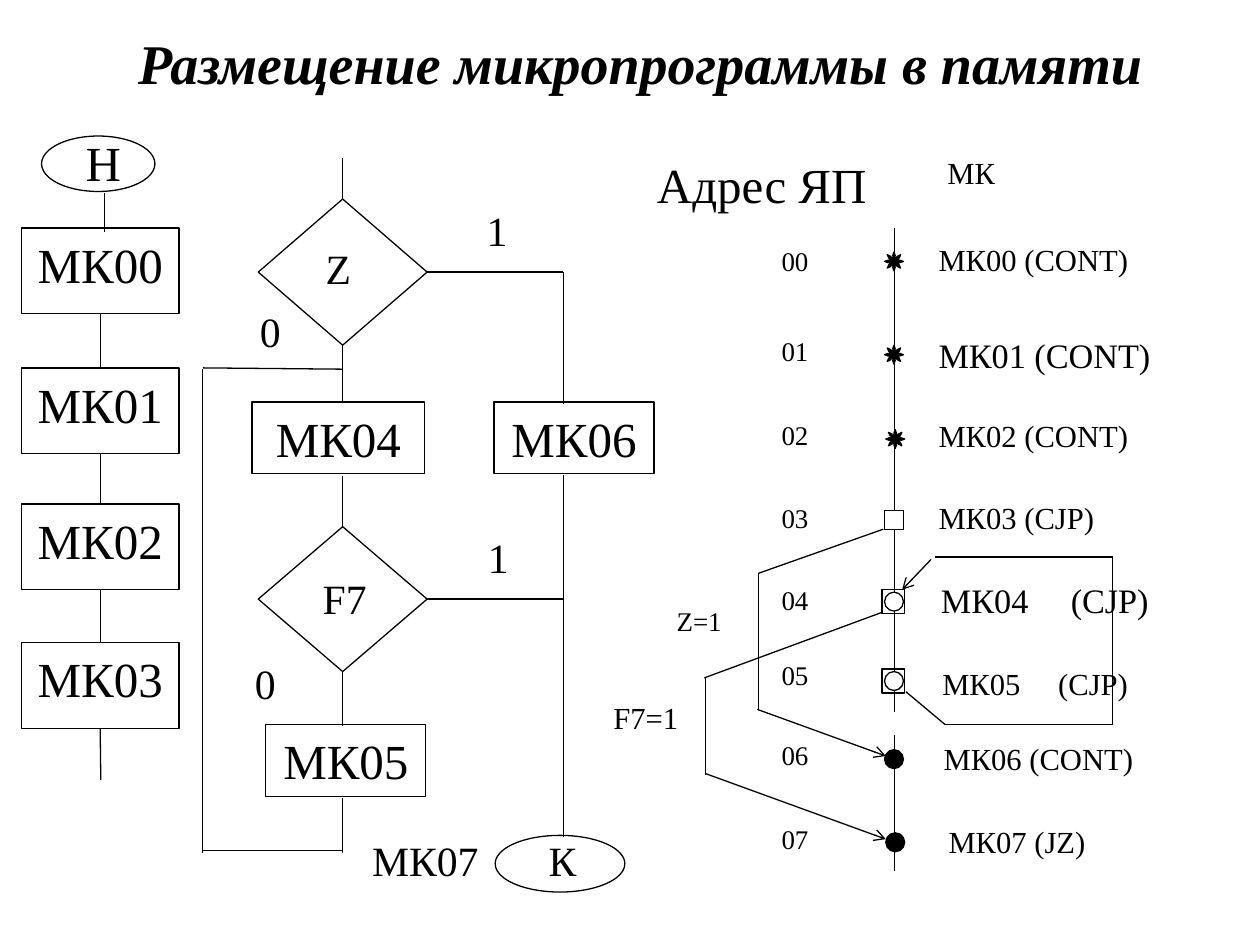
from lxml.etree import SubElement
from pptx import Presentation
from pptx.dml.color import RGBColor
from pptx.enum.shapes import MSO_CONNECTOR, MSO_SHAPE
from pptx.enum.text import MSO_ANCHOR, MSO_AUTO_SIZE, PP_ALIGN
from pptx.oxml.ns import qn
from pptx.util import Inches, Pt

BLACK = RGBColor(0, 0, 0)
WHITE = RGBColor(255, 255, 255)
LINE_WIDTH = Pt(0.75)


def write(shape, text, size, align=PP_ALIGN.CENTER, anchor=MSO_ANCHOR.TOP, tab=None, **style):
    """Put one formatted line of text in a shape; tab is a tab stop in inches."""
    frame = shape.text_frame
    frame.word_wrap = True
    frame.auto_size = MSO_AUTO_SIZE.NONE
    frame.vertical_anchor = anchor
    para = frame.paragraphs[0]
    para.text = text
    para.alignment = align
    if tab:
        stops = SubElement(para._p.get_or_add_pPr(), qn("a:tabLst"))
        SubElement(stops, qn("a:tab"), pos=str(Inches(tab)), algn="l")
    para.font.color.rgb = BLACK
    for name, value in {"name": "Times New Roman", "size": Pt(size), **style}.items():
        setattr(para.font, name, value)


def draw_line(x1, y1, x2, y2, arrow=False):
    """Draw a thin black line, with an arrowhead at its end if asked."""
    line = page.shapes.add_connector(
        MSO_CONNECTOR.STRAIGHT, Inches(x1), Inches(y1), Inches(x2), Inches(y2))
    line.line.color.rgb = BLACK
    line.line.width = LINE_WIDTH
    if arrow:
        SubElement(line.line._get_or_add_ln(), qn("a:tailEnd"), type="arrow")
    SubElement(line._element.spPr, qn("a:effectLst"))
    return line


deck = Presentation()
deck.slide_width, deck.slide_height = Inches(10), Inches(7.5)
page = deck.slides.add_slide(deck.slide_layouts[5])

title = page.shapes.title
title.left, title.top = Inches(0.67), Inches(0.08)
title.width, title.height = Inches(8.83), Inches(0.83)
write(title, "Размещение микропрограммы в памяти", 32,
      anchor=MSO_ANCHOR.MIDDLE, bold=True, italic=True)

# Plain lines come first, so that the markers cover the memory axis
plain_lines = [
    (0.83, 1.53, 0.83, 1.84),
    (2.72, 2.93, 1.61, 2.92), (1.61, 2.93, 1.61, 6.77), (1.61, 6.75, 2.72, 6.75),
    (2.72, 6.33, 2.72, 6.77),
    (4.47, 2.16, 4.47, 3.21), (4.47, 3.77, 4.47, 6.64),
    (7.1, 1.81, 7.1, 5.65), (7.1, 5.83, 7.1, 6.91),
]
jump_lines = [
    (7.01, 4.2, 6.02, 4.55), (6.02, 4.55, 6.02, 5.63), (6.01, 5.63, 7.03, 6, True),
    (7, 4.86, 5.59, 5.38), (5.6, 5.37, 5.6, 6.15), (5.6, 6.14, 7.03, 6.66, True),
    (7.19, 5.49, 7.5, 5.75), (7.5, 5.75, 8.83, 5.75), (8.83, 5.75, 8.83, 4.42),
    (8.83, 4.42, 7.42, 4.42), (7.39, 4.44, 7.16, 4.68, True),
]
for ends in plain_lines + jump_lines:
    draw_line(*ends)

# Outlines: kind, left, top, width, height, fill, text
RECT, OVAL, DIAMOND = MSO_SHAPE.RECTANGLE, MSO_SHAPE.OVAL, MSO_SHAPE.DIAMOND
column = [(RECT, 0.17, top, 1.25, 0.68, None, f"МК0{i}")
          for i, top in enumerate((1.81, 2.92, 4, 5.1))]
flowchart = [
    (DIAMOND, 2.05, 1.58, 1.34, 1.16, None, ""),
    (DIAMOND, 2.05, 4.18, 1.34, 1.15, None, ""),
    (RECT, 2, 3.19, 1.37, 0.57, None, "МК04"),
    (RECT, 2.11, 5.75, 1.27, 0.57, None, "МК05"),
    (RECT, 3.92, 3.19, 1.27, 0.57, None, "МК06"),
    (OVAL, 0.33, 1.08, 0.9, 0.44, None, ""),
    (OVAL, 3.93, 6.63, 1.03, 0.45, None, ""),
]
markers = [(kind, left, top, 0.15, 0.15, fill, "") for kind, left, top, fill in (
    (MSO_SHAPE.SUN, 7.02, 2, BLACK), (MSO_SHAPE.SUN, 7.02, 2.74, BLACK),
    (MSO_SHAPE.SUN, 7.03, 3.41, BLACK), (RECT, 7.02, 4.05, WHITE),
    (OVAL, 7.02, 4.7, WHITE), (OVAL, 7.02, 5.33, WHITE),
    (OVAL, 7.02, 5.95, BLACK), (OVAL, 7.03, 6.61, BLACK))]
frames = [(RECT, 7, top, 0.18, 0.19, None, "") for top in (4.68, 5.31)]

drawn = []
for kind, left, top, width, height, fill, text in column + flowchart + markers + frames:
    shape = page.shapes.add_shape(
        kind, Inches(left), Inches(top), Inches(width), Inches(height))
    shape.shadow.inherit = False
    shape.line.color.rgb = BLACK
    shape.line.width = LINE_WIDTH
    if fill is None:
        shape.fill.background()
    else:
        shape.fill.solid()
        shape.fill.fore_color.rgb = fill
    if text:
        write(shape, text, 28)
    drawn.append(shape)

# Lines joined to the boxes of the column and to the diamonds
boxes = drawn[:4]
z_test, f7_test = drawn[4:6]
for upper, lower in zip(boxes, boxes[1:]):
    link = draw_line(0.8, 2.5, 0.8, 2.92)
    link.begin_connect(upper, 2)
    link.end_connect(lower, 0)
joined_lines = [
    (boxes[3], 2, 0.8, 6.19),
    (z_test, 0, 2.72, 1.25), (z_test, 2, 2.72, 3.18), (z_test, 3, 4.47, 2.16),
    (f7_test, 0, 2.72, 3.78), (f7_test, 2, 2.72, 5.76), (f7_test, 3, 4.47, 4.755),
]
for shape, side, x, y in joined_lines:
    draw_line(x, y, x, y).begin_connect(shape, side)

# Labels: text, left, top, width, height, size
labels = [
    ("Н", 0, 1, 1.64, 0.6, 28),
    ("Адрес ЯП", 4.92, 1.18, 2.25, 0.65, 28),
    ("Z=1", 5.08, 4.75, 0.94, 0.38, 15.4),
    ("F7=1", 4.5, 5.5, 1.25, 0.42, 17.5),
]
labels += [(text, left, top, 1.37, 0.5, 23.8) for text, left, top in (
    ("Z", 2, 1.88), ("F7", 2.05, 4.5), ("1", 3.26, 1.58), ("0", 1.46, 2.38),
    ("1", 3.27, 4.17), ("0", 1.42, 5.17), ("К", 3.78, 6.58), ("МК07", 2.69, 6.58))]
address_tops = (1.89, 2.61, 3.27, 3.93, 4.58, 5.18, 5.81, 6.48)
labels += [(f"0{i}", 5.84, top, 0.94, 0.38, 15.4) for i, top in enumerate(address_tops)]
for text, left, top, width, height, size in labels:
    box = page.shapes.add_textbox(Inches(left), Inches(top), Inches(width), Inches(height))
    write(box, text, size)

# Commands: text, left, top, size, tab stop
commands = [
    ("МК", 7.42, 1.17, 17.5, None),
    ("МК00 (CONT)", 7.35, 1.86, 17.5, None),
    ("МК01 (CONT)", 7.35, 2.6, 19.6, None),
    ("МК02 (CONT)", 7.35, 3.26, 17.5, None),
    ("МК03 (CJP)", 7.35, 3.91, 17.5, None),
    ("МК04\t(CJP)", 7.37, 4.55, 19.6, 1.03),
    ("МК05\t(CJP)", 7.38, 5.23, 17.5, 0.92),
    ("МК06 (CONT)", 7.39, 5.82, 17.5, None),
    ("МК07 (JZ)", 7.43, 6.48, 17.5, None),
]
for text, left, top, size, tab in commands:
    box = page.shapes.add_textbox(Inches(left), Inches(top), Inches(10 - left), Inches(0.43))
    write(box, text, size, PP_ALIGN.LEFT, tab=tab)

deck.save("out.pptx")
